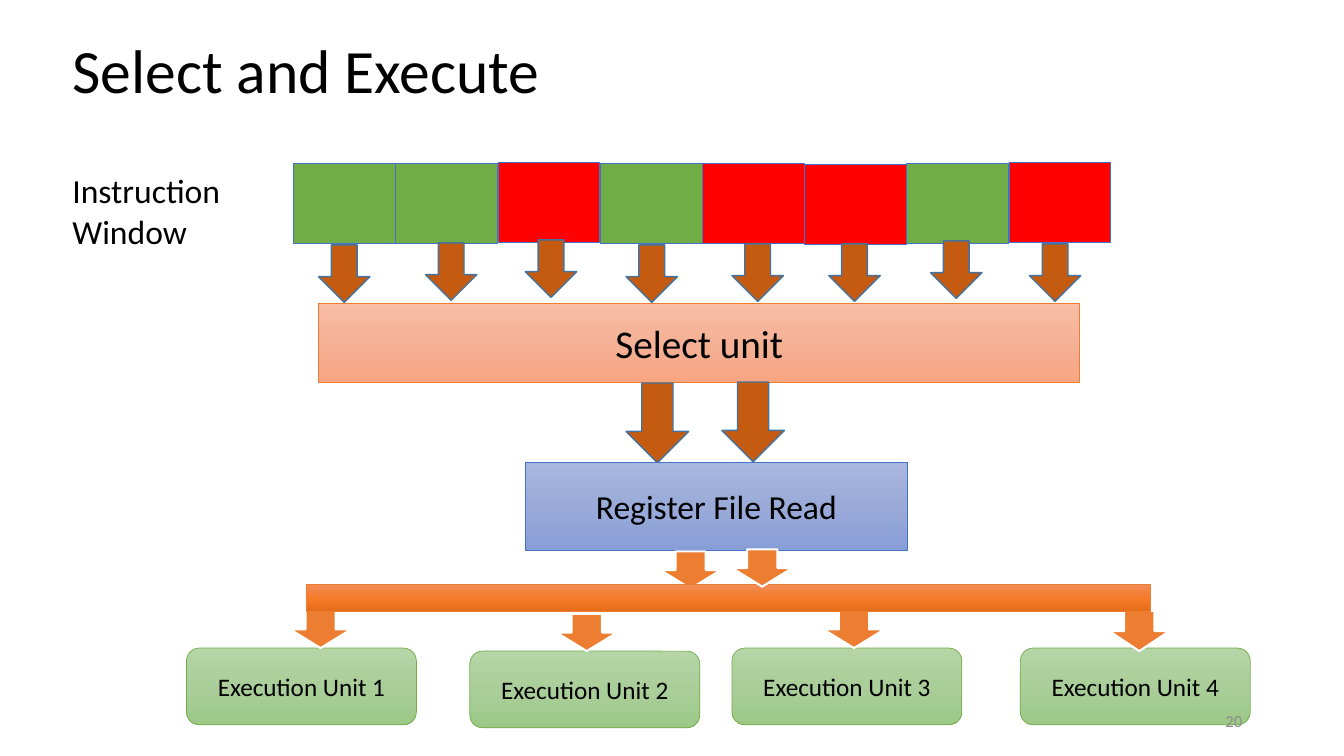
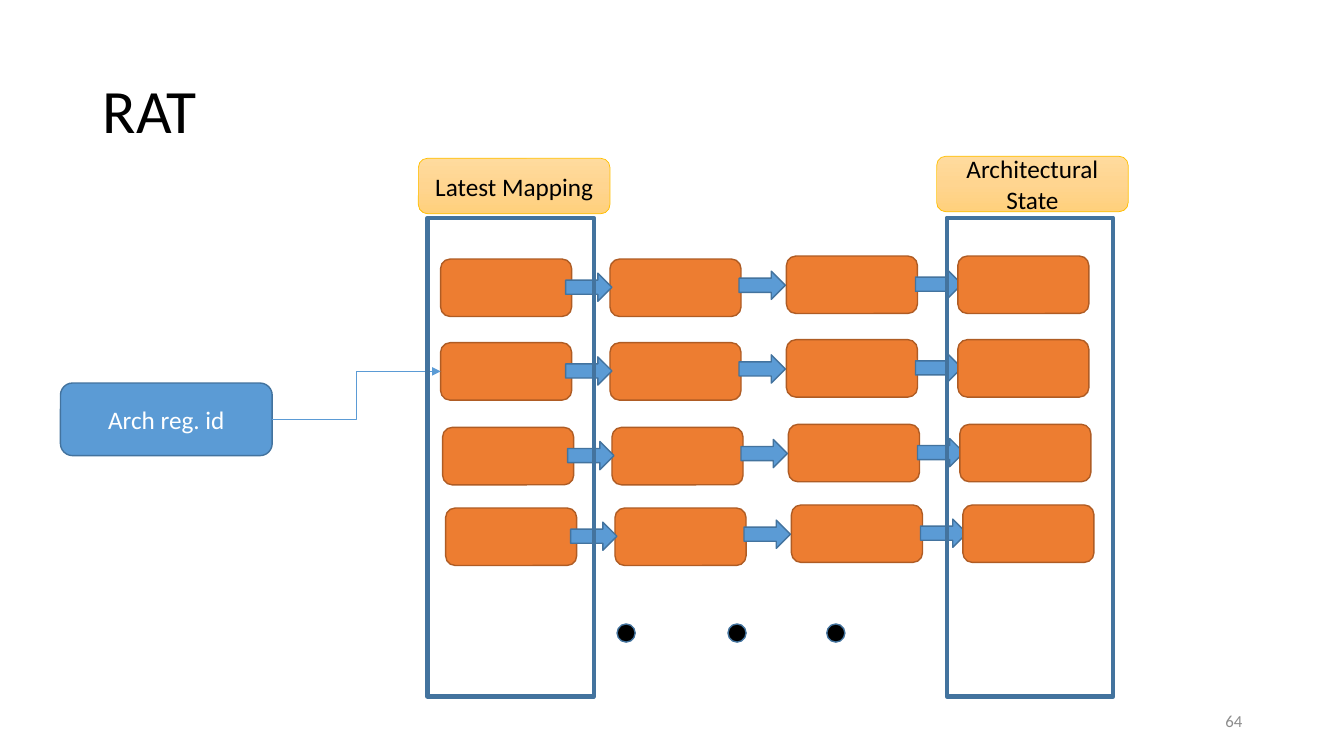
import copy
from dataclasses import dataclass

import lxml.etree
import pptx
import pptx.dml.color
import pptx.enum.shapes
import pptx.enum.text
import pptx.oxml.ns
import pptx.presentation
import pptx.shapes.autoshape
import pptx.slide
import pptx.util

Inches = pptx.util.Inches
Kind = pptx.enum.shapes.MSO_SHAPE
Align = pptx.enum.text.PP_ALIGN
Anchor = pptx.enum.text.MSO_ANCHOR
Slide = pptx.slide.Slide
Shape = pptx.shapes.autoshape.Shape


@dataclass(frozen=True)
class Theme:
    font: str = "Calibri"
    black: str = "000000"
    white: str = "FFFFFF"
    gray: str = "8C8C8C"
    red: str = "FF0000"
    green: str = "70AD47"
    blue: str = "5B9BD5"
    navy: str = "43739E"
    royal: str = "4472C4"
    orange: str = "ED7D31"
    brown: str = "AF5C24"
    rust: str = "C55A11"
    gold: str = "FFC000"
    title: int = 44
    large: int = 28
    body: int = 24
    small: int = 18
    note: int = 12


T = Theme()


@dataclass(frozen=True)
class Look:
    """Fill has no colour (hollow), one (solid) or three (gradient)."""
    kind: Kind
    fill: tuple[str, ...]
    line: str
    width: float = 1
    size: int = T.small
    ink: str = T.black


@dataclass(frozen=True)
class Box:
    left: float
    top: float
    width: float
    height: float


# Looks of the pipeline slide
READY = Look(Kind.RECTANGLE, (T.green,), T.royal, 0.5)
WAIT = Look(Kind.RECTANGLE, (T.red,), T.royal, 0.5)
SELECT = Look(Kind.RECTANGLE, ("F7BDA5", "F5B196", "F8A582"), T.orange, 0.5, T.large)
READ = Look(Kind.RECTANGLE, ("A8B7DF", "9AABD9", "889ED7"), T.royal, 0.5, T.body)
BUS = Look(Kind.RECTANGLE, ("F18C57", "F67B28", "E56C19"), T.orange, 0.5)
UNIT = Look(Kind.ROUNDED_RECTANGLE, ("B5D5A7", "AACE9A", "9CC987"), T.green, 0.5)
DROP = Look(Kind.DOWN_ARROW, (T.rust,), T.navy)
FEED = Look(Kind.DOWN_ARROW, (T.orange,), T.white, 1.5)

# Looks of the table slide
ENTRY = Look(Kind.ROUNDED_RECTANGLE, (T.orange,), T.brown)
NEXT = Look(Kind.RIGHT_ARROW, (T.blue,), T.navy)
DOT = Look(Kind.OVAL, (T.black,), T.navy)
KEY = Look(Kind.ROUNDED_RECTANGLE, (T.blue,), T.navy, ink=T.white)
FRAME = Look(Kind.RECTANGLE, (), T.navy, 3)
LABEL = Look(Kind.ROUNDED_RECTANGLE, ("FFDB9E", "FFD590", "FFD07C"), T.gold, 0.5)


def rgb(code: str) -> pptx.dml.color.RGBColor:
    return pptx.dml.color.RGBColor.from_string(code)


def place(box: Box) -> tuple[int, ...]:
    return tuple(Inches(v) for v in (box.left, box.top, box.width, box.height))


def write(shape: Shape, text: str, size: int, ink: str, align: Align,
          anchor: Anchor = Anchor.MIDDLE, wrap: bool = True) -> None:
    frame = shape.text_frame
    frame.text = text
    frame.word_wrap = wrap
    frame.vertical_anchor = anchor
    for para in frame.paragraphs:
        para.alignment = align
        para.font.name = T.font
        para.font.size = pptx.util.Pt(size)
        para.font.color.rgb = rgb(ink)


def blend(shape: Shape, codes: tuple[str, ...]) -> None:
    fill = shape.fill
    fill.gradient()
    fill.gradient_angle = 270
    stops = shape._element.spPr.find(".//" + pptx.oxml.ns.qn("a:gsLst"))
    stops.insert(1, copy.deepcopy(stops[0]))
    for i, (stop, code) in enumerate(zip(fill.gradient_stops, codes)):
        stop.position = i / 2
        stop.color.rgb = rgb(code)


def draw(slide: Slide, look: Look, box: Box, text: str = "") -> Shape:
    shape = slide.shapes.add_shape(look.kind, *place(box))
    shape.shadow.inherit = False
    if not look.fill:
        shape.fill.background()
    elif len(look.fill) == 1:
        shape.fill.solid()
        shape.fill.fore_color.rgb = rgb(look.fill[0])
    else:
        blend(shape, look.fill)
    shape.line.color.rgb = rgb(look.line)
    shape.line.width = pptx.util.Pt(look.width)
    if text:
        write(shape, text, look.size, look.ink, Align.CENTER)
    return shape


def link(slide: Slide, start: Shape, end: Shape) -> None:
    """Bent arrow from the right side of one shape to the left of another."""
    line = slide.shapes.add_connector(pptx.enum.shapes.MSO_CONNECTOR.ELBOW, 0, 0, 0, 0)
    line.begin_connect(start, 3)
    line.end_connect(end, 1)
    line.line.color.rgb = rgb(T.blue)
    line.line.width = pptx.util.Pt(0.5)
    qn = pptx.oxml.ns.qn
    props = line._element.spPr
    lxml.etree.SubElement(props.find(qn("a:ln")), qn("a:tailEnd"), type="triangle")
    lxml.etree.SubElement(props, qn("a:effectLst"))


def head(slide: Slide, text: str, left: float, top: float) -> None:
    box = slide.shapes.add_textbox(*place(Box(left, top, 11.5, 1.45)))
    write(box, text, T.title, T.black, Align.LEFT)
    box.text_frame.paragraphs[0].line_spacing = 0.9


def foot(slide: Slide, page: int) -> None:
    box = slide.shapes.add_textbox(*place(Box(9.42, 6.95, 3, 0.4)))
    write(box, str(page), T.note, T.gray, Align.RIGHT)


def start(deck: pptx.presentation.Presentation) -> Slide:
    return deck.slides.add_slide(deck.slide_layouts[6])


def flow(slide: Slide) -> None:
    head(slide, "Select and Execute", 0.62, 0)

    # Instruction window, waiting cells below ready ones
    wait = {2: 1.61, 4: 1.62, 5: 1.63, 7: 1.61}
    for i in sorted(range(8), key=lambda n: n not in wait):
        look = WAIT if i in wait else READY
        draw(slide, look, Box(2.91 + 1.014 * i, wait.get(i, 1.62), 1.01, 0.79))
    note = slide.shapes.add_textbox(*place(Box(0.62, 1.64, 1.76, 0.91)))
    write(note, "Instruction\nWindow", T.body, T.black, Align.LEFT, Anchor.TOP, False)

    # Selection
    draw(slide, SELECT, Box(3.16, 3.01, 7.55, 0.78), "Select unit")
    for x, y in ((3.16, 2.43), (4.22, 2.41), (5.21, 2.38), (6.21, 2.43),
                 (7.26, 2.42), (8.22, 2.42), (9.23, 2.39), (10.21, 2.42)):
        draw(slide, DROP, Box(x, y, 0.51, 0.57))
    for x, y in ((6.21, 3.8), (7.16, 3.79)):
        draw(slide, DROP, Box(x, y, 0.62, 0.79))
    draw(slide, READ, Box(5.21, 4.59, 3.79, 0.87), "Register File Read")

    # Execution units, fed from the bus
    for i, (x, y) in enumerate(((1.85, 6.43), (4.66, 6.46), (7.26, 6.43), (10.12, 6.43)), 1):
        draw(slide, UNIT, Box(x, y, 2.28, 0.76), f"Execution Unit {i}")
    for x, y, tall in ((2.88, 6.06, 0.37), (5.52, 6.09, 0.37), (8.17, 6.06, 0.37),
                       (11, 6.06, 0.4), (6.55, 5.47, 0.37)):
        draw(slide, FEED, Box(x, y, 0.6, tall))
    draw(slide, BUS, Box(3.04, 5.8, 8.37, 0.27))
    draw(slide, FEED, Box(7.26, 5.45, 0.6, 0.37))
    foot(slide, 20)


def table(slide: Slide) -> None:
    head(slide, "RAT", 0.92, 0.4)

    # Mapping chains: each row is the same chain, slightly shifted
    cells = ((4.37, 0), (6.05, 0), (7.8, -0.03), (9.5, -0.03))
    hops = ((5.61, 0.14), (7.33, 0.12), (9.08, 0.11))
    parts = ([(ENTRY, c, 1.3, 0.57) for c in cells[:3]]
             + [(NEXT, h, 0.46, 0.28) for h in hops]
             + [(ENTRY, cells[3], 1.3, 0.57)])
    firsts = []
    for dx, top in ((0, 2.57), (0, 3.4), (0.02, 4.24), (0.05, 5.04)):
        row = [draw(slide, look, Box(x + dx, top + dy, wide, tall))
               for look, (x, dy), wide, tall in parts]
        firsts.append(row[0])
    for x in (6.12, 7.22, 8.2):
        draw(slide, DOT, Box(x, 6.19, 0.18, 0.18))

    # Lookup
    key = draw(slide, KEY, Box(0.6, 3.8, 2.1, 0.72), "Arch reg. id")
    link(slide, key, firsts[1])

    # Framed columns and their labels
    for x, left, top, text in ((4.24, 4.15, 1.57, "Latest Mapping"),
                               (9.39, 9.29, 1.55, "Architectural State")):
        draw(slide, FRAME, Box(x, 2.16, 1.65, 4.75))
        draw(slide, LABEL, Box(left, top, 1.9, 0.55), text)
    foot(slide, 64)


def main() -> None:
    deck = pptx.Presentation()
    deck.slide_width = Inches(13.33)
    deck.slide_height = Inches(7.5)
    flow(start(deck))
    table(start(deck))
    deck.save("out.pptx")


if __name__ == "__main__":
    main()
